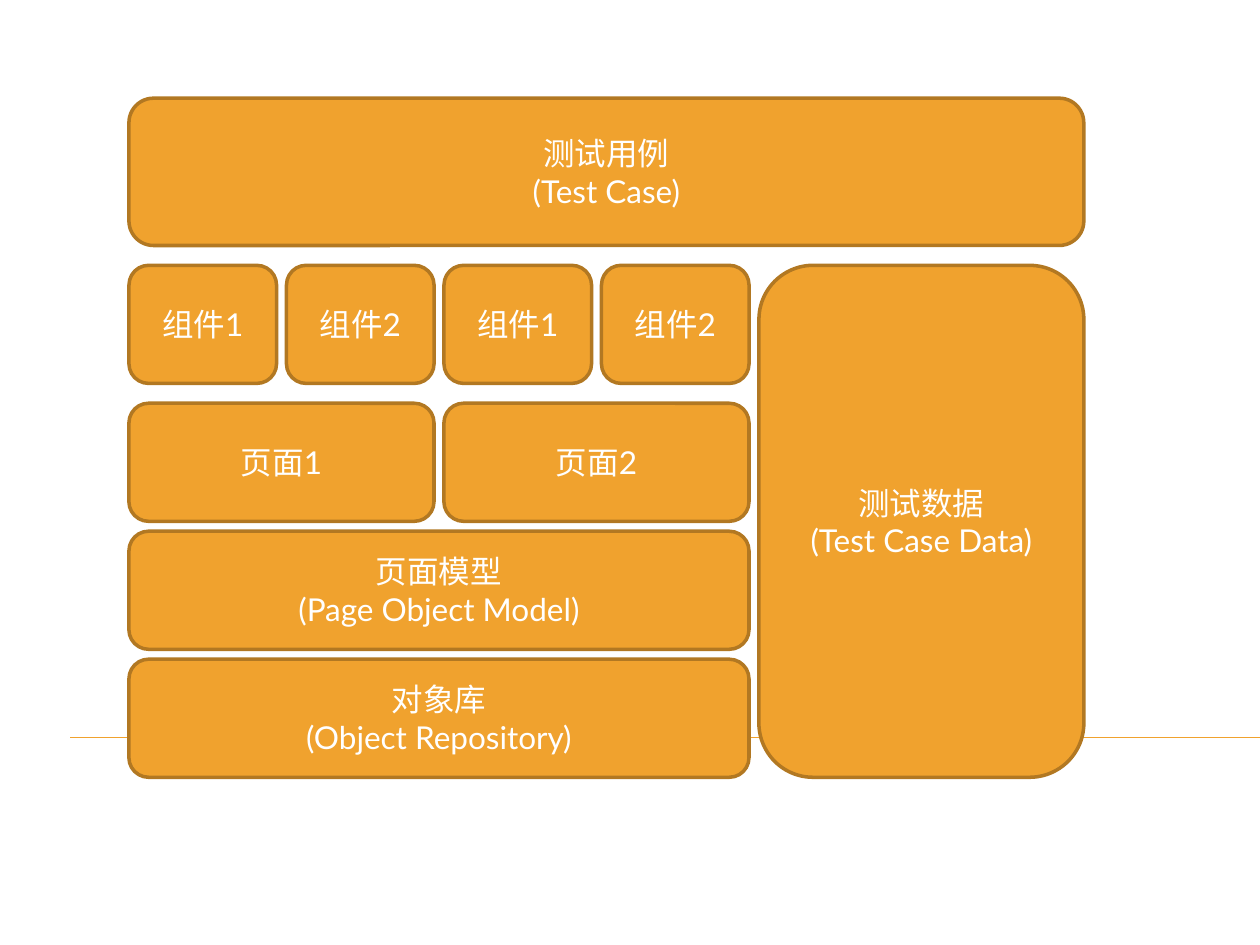
from dataclasses import dataclass
from typing import NamedTuple

from lxml.etree import SubElement
from pptx import Presentation
from pptx.dml.color import RGBColor
from pptx.enum.shapes import MSO_CONNECTOR as Connector, MSO_SHAPE as Shape
from pptx.enum.text import MSO_ANCHOR as Anchor, PP_ALIGN as Align
from pptx.oxml.ns import qn
from pptx.util import Cm, Pt


@dataclass(frozen=True)
class Theme:
    fill: RGBColor = RGBColor(0xF0, 0xA2, 0x2E)
    border: RGBColor = RGBColor(0xB2, 0x78, 0x22)
    text: RGBColor = RGBColor(0xFF, 0xFF, 0xFF)
    font: str = "Lato"
    size: Pt = Pt(18)
    border_width: Pt = Pt(2)
    rule_width: Pt = Pt(0.75)


class Box(NamedTuple):
    """A region of the slide, in centimetres."""
    left: float
    top: float
    width: float
    height: float


THEME = Theme()
GAP = 0.2
WIDE_GAP = 0.4
LAYER_HEIGHT = 2.38
LAYERS = [
    # labels side by side, gap below
    (["组件1", "组件2", "组件1", "组件2"], WIDE_GAP),
    (["页面1", "页面2"], GAP),
    (["页面模型\n(Page Object Model)"], GAP),
    (["对象库\n(Object Repository)"], 0),
]


def set_format(target, values):
    for name, value in values.items():
        setattr(target, name, value)


def add_rule(page, left, top, right):
    rule = page.shapes.add_connector(
        Connector.STRAIGHT, Cm(left), Cm(top), Cm(right), Cm(top))
    rule.line.color.rgb = THEME.fill
    rule.line.width = THEME.rule_width
    SubElement(rule._element.spPr, qn("a:effectLst"))


def add_block(page, box, label):
    """Add a rounded block with one centred paragraph per label line."""
    block = page.shapes.add_shape(
        Shape.ROUNDED_RECTANGLE, *(Cm(length) for length in box))
    block.shadow.inherit = False
    block.fill.solid()
    block.fill.fore_color.rgb = THEME.fill
    block.line.color.rgb = THEME.border
    block.line.width = THEME.border_width
    frame = block.text_frame
    set_format(frame, {"text": label, "word_wrap": True,
                       "vertical_anchor": Anchor.MIDDLE})
    for para in frame.paragraphs:
        para.alignment = Align.CENTER
        for span in para.runs:
            set_format(span.font, {"name": THEME.font, "size": THEME.size})
            span.font.color.rgb = THEME.text


def add_layer(page, box, labels):
    """Share the width of the box equally among the labelled blocks."""
    width = (box.width - GAP * (len(labels) - 1)) / len(labels)
    for column, label in enumerate(labels):
        left = box.left + column * (width + GAP)
        add_block(page, Box(left, box.top, width, box.height), label)


def add_layer_stack(page, box):
    top = box.top
    for labels, gap_below in LAYERS:
        add_layer(page, Box(box.left, top, box.width, LAYER_HEIGHT), labels)
        top += LAYER_HEIGHT + gap_below


def add_architecture(page, box):
    """Test cases on top, the layers below them, test data at their side."""
    case_height = 2.97
    stack_width = 12.5
    top = box.top + case_height + WIDE_GAP
    height = box.height - case_height - WIDE_GAP
    data_offset = stack_width + GAP
    add_layer_stack(page, Box(box.left, top, stack_width, height))
    add_block(page, Box(box.left + data_offset, top,
                        box.width - data_offset, height),
              "测试数据\n(Test Case Data)")
    add_block(page, Box(box.left, box.top, box.width, case_height),
              "测试用例\n(Test Case)")


def main():
    deck = Presentation()
    set_format(deck, {"slide_width": Cm(25.4), "slide_height": Cm(19.05)})
    page = deck.slides.add_slide(deck.slide_layouts[6])
    add_rule(page, 1.42, 14.86, 25.4)
    add_architecture(page, Box(2.6, 1.98, 19.25, 13.69))
    deck.save("out.pptx")


if __name__ == "__main__":
    main()
